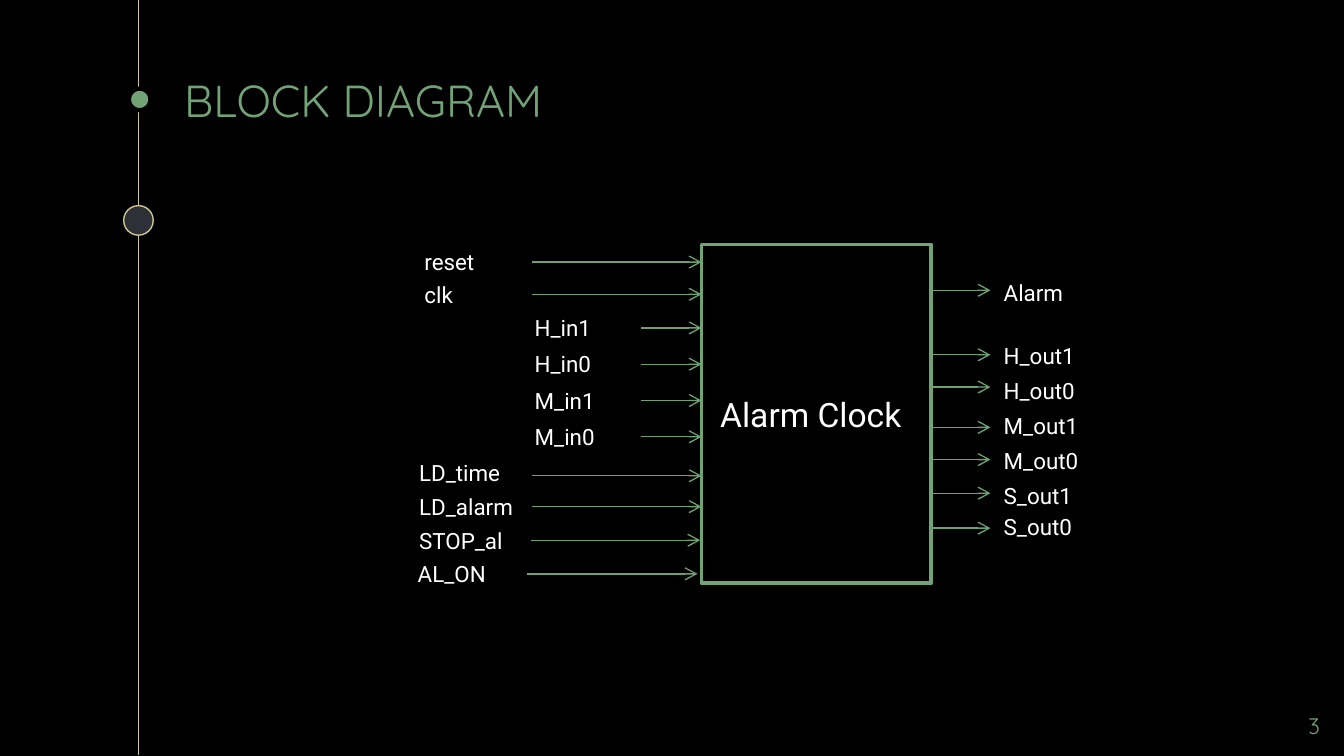
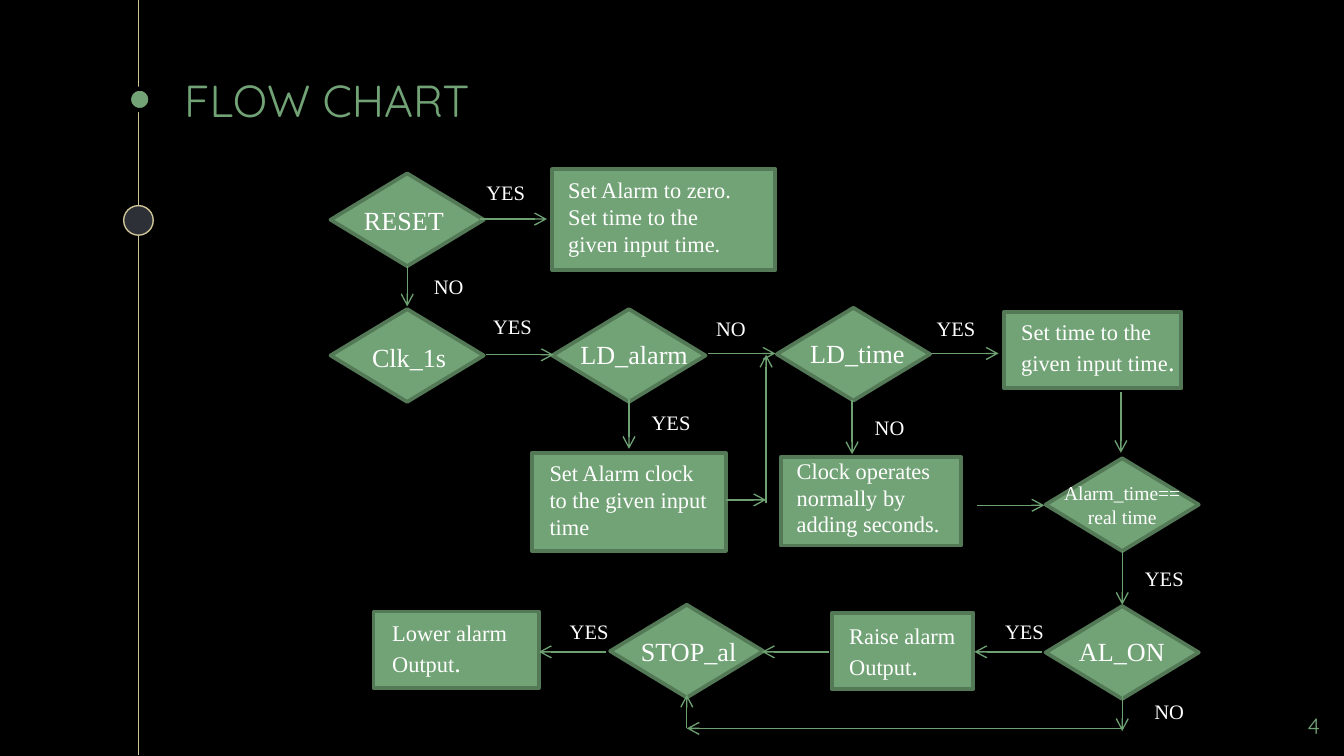
from dataclasses import dataclass
from typing import Union

from lxml.etree import SubElement
from pptx import Presentation
from pptx.dml.color import RGBColor
from pptx.enum.shapes import MSO_CONNECTOR as Wire, MSO_SHAPE as Form
from pptx.enum.text import MSO_ANCHOR as Anchor, MSO_AUTO_SIZE as Fit, PP_ALIGN as Align
from pptx.oxml.ns import qn
from pptx.shapes.autoshape import Shape
from pptx.shapes.shapetree import GroupShapes, SlideShapes
from pptx.slide import Slide
from pptx.text.text import TextFrame
from pptx.util import Emu, Pt

Tree = Union[GroupShapes, SlideShapes]

# Palette and fonts
GREEN, DARK, ARROW = "72A376", "547957", "6EA172"
SAND, SLATE, BLACK, WHITE = "CEC597", "2E3037", "000000", "FFFFFF"
HEAD, SANS, SERIF = "Quicksand", "Roboto", "Times New Roman"

WIDE, HIGH = 1000, 562
PIN_W, PIN_H = 90, 30
GEM_W, GEM_H = 114, 69


@dataclass(frozen=True)
class Box:
    x: int
    y: int
    w: int
    h: int


@dataclass(frozen=True)
class Look:
    face: str
    size: float
    tint: str = WHITE
    align: Align = Align.LEFT


@dataclass(frozen=True)
class Pin:
    """A port: its name, the label corner and the arrow."""
    name: str
    x: int
    y: int
    start: int
    end: int
    level: int
    w: int = PIN_W


@dataclass(frozen=True)
class Node:
    """A flow chart step: its outline and its label."""
    text: str
    form: Form
    box: Box
    label: Box
    look: Look
    dot: bool = False


def px(n: int) -> Emu:
    return Emu(n * 9144)


def rgb(code: str) -> RGBColor:
    return RGBColor.from_string(code)


# Drawing tools
def write(frame: TextFrame, text: str, look: Look, dot: bool = False) -> None:
    """Fill a frame; dot adds a larger full stop to the last line."""
    frame.word_wrap = True
    frame.text = text
    for para in frame.paragraphs:
        para.alignment = look.align
        # Some viewers read only run fonts, so both levels are set
        for font in (para.font, *(run.font for run in para.runs)):
            font.name, font.size = look.face, Pt(look.size)
            font.color.rgb = rgb(look.tint)
    if dot:
        run = frame.paragraphs[-1].add_run()
        run.text = "."
        run.font.name, run.font.size = look.face, Pt(14)
        run.font.color.rgb = rgb(look.tint)


def pad(frame: TextFrame) -> None:
    frame.margin_left = frame.margin_right = px(10)
    frame.margin_top = frame.margin_bottom = px(10)


def label(tree: Tree, text: str, box: Box, look: Look, dot: bool = False) -> Shape:
    item = tree.add_textbox(px(box.x), px(box.y), px(box.w), px(box.h))
    write(item.text_frame, text, look, dot)
    item.text_frame.auto_size = Fit.SHAPE_TO_FIT_TEXT
    return item


def shape(tree: Tree, form: Form, box: Box, fill: str, edge: str, width: float) -> None:
    item = tree.add_shape(form, px(box.x), px(box.y), px(box.w), px(box.h))
    item.shadow.inherit = False
    if fill:
        item.fill.solid()
        item.fill.fore_color.rgb = rgb(fill)
    else:
        item.fill.background()
    item.line.color.rgb = rgb(edge)
    item.line.width = Pt(width)


def line(tree: Tree, x1: int, y1: int, x2: int, y2: int,
         tint: str = ARROW, head: bool = True) -> None:
    item = tree.add_connector(Wire.STRAIGHT, px(x1), px(y1), px(x2), px(y2))
    item.line.color.rgb = rgb(tint)
    item.line.width = Pt(0.75)
    props = item._element.spPr
    if head:
        SubElement(props.find(qn("a:ln")), qn("a:tailEnd"), type="arrow")
    SubElement(props, qn("a:effectLst"))


def base(deck, title: str, page: int) -> Slide:
    """Add a slide with the side rail, title and page number."""
    slide = deck.slides.add_slide(deck.slide_layouts.get_by_name("Title Only"))
    tree = slide.shapes
    line(tree, 103, 0, 103, HIGH, SAND, False)
    shape(tree, Form.OVAL, Box(96, 66, 16, 16), GREEN, BLACK, 2.25)
    shape(tree, Form.OVAL, Box(92, 153, 22, 22), SLATE, SAND, 0.75)

    head = tree.title
    head.left, head.top, head.width, head.height = px(127), px(66), px(750), px(38)
    frame = head.text_frame
    write(frame, title, Look(HEAD, 24, GREEN))
    pad(frame)
    frame.vertical_anchor = Anchor.BOTTOM
    frame.auto_size = Fit.NONE

    foot = label(tree, str(page), Box(932, 520, 60, 34), Look(HEAD, 12, GREEN, Align.RIGHT))
    pad(foot.text_frame)
    foot.text_frame.auto_size = Fit.NONE
    return slide


# Block diagram
PINS = [
    Pin("reset", 306, 180, 396, 522, 195),
    Pin("clk", 306, 204, 396, 522, 219),
    *(Pin(name, 388, 229 + 27 * i, 477, 522, 244 + 27 * i)
      for i, name in enumerate(("H_in1", "H_in0", "M_in1", "M_in0"))),
    Pin("LD_time", 302, 337, 396, 522, 354),
    Pin("LD_alarm", 302, 362, 396, 522, 377, 122),
    Pin("STOP_al", 302, 387, 395, 521, 402),
    Pin("AL_ON", 301, 412, 392, 519, 427),
    *(Pin(name, 737, y, 692, 737, level) for name, y, level in (
        ("Alarm", 203, 216), ("H_out1", 250, 264), ("H_out0", 276, 288),
        ("M_out1", 302, 318), ("M_out0", 328, 342),
        ("S_out1", 354, 367), ("S_out0", 377, 393))),
]


def block(deck) -> None:
    tree = base(deck, "BLOCK DIAGRAM", 3).shapes.add_group_shape().shapes
    shape(tree, Form.RECTANGLE, Box(522, 182, 171, 252), "", GREEN, 2)
    label(tree, "Alarm Clock", Box(526, 288, 179, 40), Look(SANS, 18))
    for pin in PINS:
        label(tree, pin.name, Box(pin.x, pin.y, pin.w, PIN_H), Look(SANS, 12))
        line(tree, pin.start, pin.level, pin.end, pin.level)


# Flow chart
def gem(text: str, x: int, y: int, dx: int, dy: int, w: int = GEM_W) -> Node:
    """A decision whose label sits dx, dy from its corner."""
    return Node(text, Form.FLOWCHART_DECISION, Box(x, y, GEM_W, GEM_H),
                Box(x + dx, y + dy, w, 34), Look(SERIF, 14))


def step(text: str, box: Box, note: Box, dot: bool = False) -> Node:
    return Node(text, Form.RECTANGLE, box, note, Look(SERIF, 12), dot)


NODES = [
    gem("RESET", 246, 129, 15, 18, 83),
    step("Set Alarm to zero.\nSet time to the given input time.",
         Box(411, 126, 166, 75), Box(413, 126, 157, 47)),
    step("Set Alarm clock to the given input time",
         Box(396, 337, 144, 73), Box(399, 337, 141, 71)),
    gem("Clk_1s", 246, 230, 21, 19, 87),
    gem("LD_alarm", 411, 230, 11, 17),
    gem("LD_time", 578, 229, 15, 17),
    step("Set time to the given input time",
         Box(747, 232, 132, 57), Box(750, 232, 142, 54), True),
    step("Clock operates normally by adding seconds.",
         Box(581, 340, 134, 66), Box(583, 335, 144, 71)),
    Node("Alarm_time==\nreal time", Form.FLOWCHART_DECISION,
         Box(778, 341, GEM_W, GEM_H), Box(779, 353, 112, 45),
         Look(SERIF, 10.5, align=Align.CENTER)),
    gem("AL_ON", 778, 451, 15, 17),
    step("Raise alarm Output",
         Box(619, 456, 105, 57), Box(622, 458, 105, 54), True),
    gem("STOP_al", 454, 450, 13, 18),
    step("Lower alarm Output",
         Box(278, 455, 123, 57), Box(282, 456, 123, 74), True),
]

# Arrows as x1, y1, x2, y2
FLOWS = [
    (357, 163, 407, 163), (303, 198, 303, 228), (362, 264, 412, 264),
    (468, 294, 468, 334), (527, 263, 577, 263), (634, 298, 634, 338),
    (693, 263, 743, 263), (540, 372, 570, 372), (570, 374, 570, 264),
    (727, 376, 777, 376), (834, 292, 834, 337), (835, 410, 835, 450),
    (775, 485, 725, 485), (617, 485, 567, 485), (451, 485, 401, 485),
    (835, 514, 835, 544), (835, 542, 511, 542), (511, 542, 511, 517),
]

# Corners of the branch labels
MARKS = {
    "YES": [(352, 129), (357, 229), (475, 300), (687, 230),
            (842, 416), (738, 456), (414, 456)],
    "NO": [(313, 199), (523, 230), (641, 304), (849, 515)],
}


def flow(deck) -> None:
    tree = base(deck, "FLOW CHART", 4).shapes
    for node in NODES:
        group = tree.add_group_shape().shapes
        shape(group, node.form, node.box, GREEN, DARK, 2)
        label(group, node.text, node.label, node.look, node.dot)
    for ends in FLOWS:
        line(tree, *ends)
    for word, spots in MARKS.items():
        for x, y in spots:
            label(tree, word, Box(x, y, 61, 29), Look(SERIF, 11))


def main() -> None:
    deck = Presentation()
    # A 16:9 page
    deck.slide_width, deck.slide_height = px(WIDE), Emu(px(WIDE) * 9 // 16)
    fill = deck.slide_master.background.fill
    fill.solid()
    fill.fore_color.rgb = rgb(BLACK)
    block(deck)
    flow(deck)
    deck.save("out.pptx")


if __name__ == "__main__":
    main()
